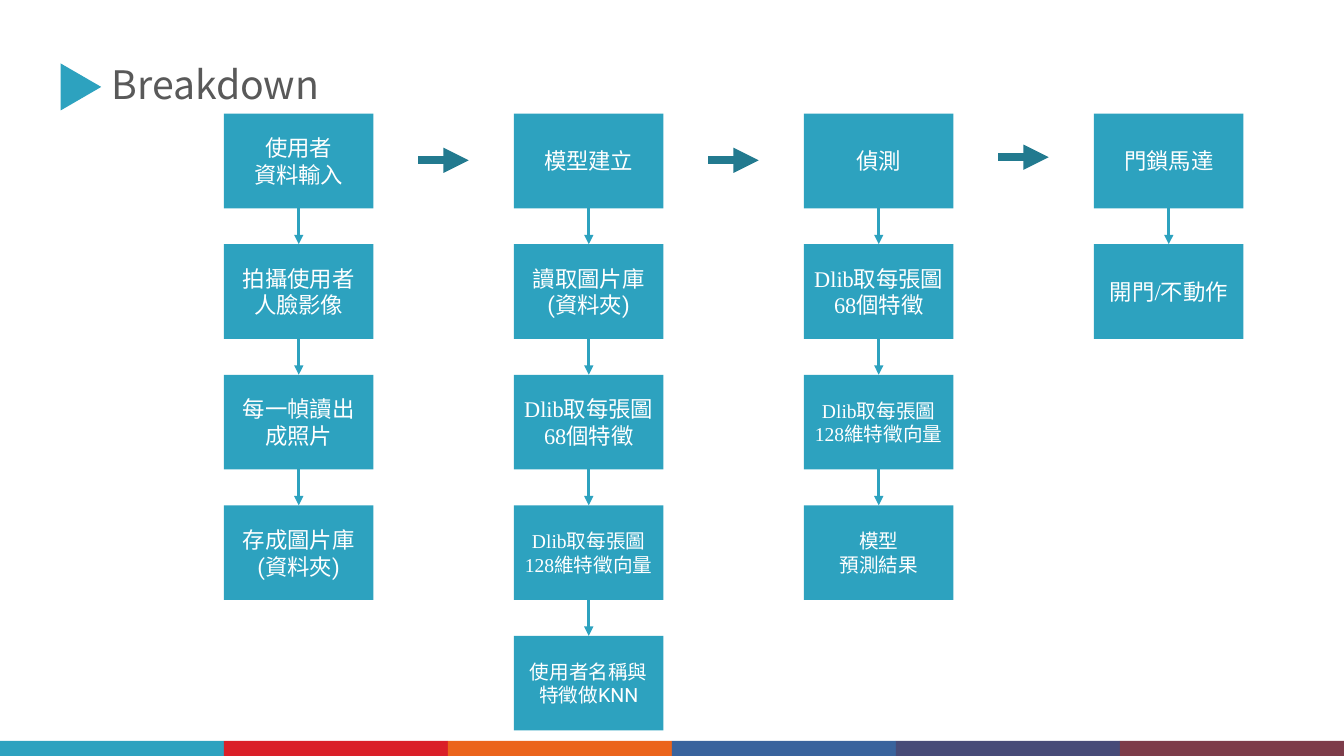
from dataclasses import dataclass

from lxml import etree
from pptx import Presentation
from pptx import util as u
from pptx.dml.color import RGBColor
from pptx.enum import shapes, text
from pptx.oxml import ns

Pt = u.Pt


@dataclass(frozen=True)
class Theme:
    teal: str = "2DA2BF"
    dark_teal: str = "227A8F"
    grey: str = "595959"
    white: str = "FFFFFF"
    strip: tuple[str, ...] = ("2DA2BF", "DA1F28", "EB641B", "39639D", "474B78", "7D3C4A")
    title_font: str = "Noto Sans CJK SC"
    sans: str = "Roboto"
    serif: str = "Times New Roman"
    title_size: float = 28
    step_size: float = 16
    small_size: float = 14
    step_line: float = 2.25
    stage_line: float = 6


THEME = Theme()


@dataclass(frozen=True)
class Step:
    wording: str
    font: str = THEME.sans
    size: float = THEME.step_size


@dataclass(frozen=True)
class Stage:
    steps: tuple[Step, ...]
    exit_y: float = 114.5


# Flow grid, in points
LEFT, TOP = 160, 81.2
COLUMN_PITCH, ROW_PITCH = 207.15, 93.25
BOX_WIDTH, BOX_HEIGHT = 106.8, 67.6
STAGE_ARROW_OFFSET, STAGE_ARROW_LENGTH = 138.8, 36

FEATURES_68 = Step("Dlib取每張圖68個特徵", THEME.serif)
FEATURES_128 = Step("Dlib取每張圖128維特徵向量", THEME.serif, THEME.small_size)
STAGES = (
    Stage((
        Step("使用者\n資料輸入", THEME.serif),
        Step("拍攝使用者人臉影像"),
        Step("每一幀讀出成照片"),
        Step("存成圖片庫\n(資料夾)"),
    )),
    Stage((
        Step("模型建立"),
        Step("讀取圖片庫\n(資料夾)"),
        FEATURES_68,
        FEATURES_128,
        Step("使用者名稱與特徵做KNN", size=THEME.small_size),
    )),
    Stage((
        Step("偵測"),
        FEATURES_68,
        FEATURES_128,
        Step("模型\n預測結果", THEME.serif, THEME.small_size),
    ), exit_y=112.3),
    Stage((
        Step("門鎖馬達"),
        Step("開門/不動作", THEME.serif),
    )),
)

deck = Presentation()
deck.slide_width, deck.slide_height = Pt(960), Pt(540)
slide = deck.slides.add_slide(deck.slide_layouts[6])


def add_filled(kind: shapes.MSO_SHAPE, left: float, top: float,
               width: float, height: float, color: str):
    shape = slide.shapes.add_shape(kind, Pt(left), Pt(top), Pt(width), Pt(height))
    shape.shadow.inherit = False
    shape.fill.solid()
    shape.fill.fore_color.rgb = RGBColor.from_string(color)
    shape.line.fill.background()
    return shape


def style_text(frame, font: str, size: float, color: str, align: text.PP_ALIGN) -> None:
    frame.word_wrap = True
    for paragraph in frame.paragraphs:
        paragraph.alignment = align
        for run in paragraph.runs:
            run.font.name = font
            run.font.size = Pt(size)
            run.font.color.rgb = RGBColor.from_string(color)


def add_step(step: Step, left: float, top: float) -> None:
    box = add_filled(shapes.MSO_SHAPE.RECTANGLE, left, top, BOX_WIDTH, BOX_HEIGHT, THEME.teal)
    box.text_frame.text = step.wording
    box.text_frame.vertical_anchor = text.MSO_ANCHOR.MIDDLE
    style_text(box.text_frame, step.font, step.size, THEME.white, text.PP_ALIGN.CENTER)


def add_arrow(x1: float, y1: float, x2: float, y2: float, color: str, width: float) -> None:
    arrow = slide.shapes.add_connector(
        shapes.MSO_CONNECTOR.STRAIGHT, Pt(x1), Pt(y1), Pt(x2), Pt(y2))
    arrow.line.color.rgb = RGBColor.from_string(color)
    arrow.line.width = Pt(width)
    properties = arrow._element.spPr
    etree.SubElement(properties.find(ns.qn("a:ln")), ns.qn("a:tailEnd"), type="triangle")
    etree.SubElement(properties, ns.qn("a:effectLst"))


# Title and its marker
title = slide.shapes.add_textbox(Pt(72.7), Pt(39.6), Pt(373), Pt(41))
title.text_frame.text = "Breakdown"
style_text(title.text_frame, THEME.title_font, THEME.title_size, THEME.grey, text.PP_ALIGN.LEFT)
marker = add_filled(shapes.MSO_SHAPE.ISOSCELES_TRIANGLE, 41, 47.6, 33.6, 29, THEME.teal)
marker.rotation = 90

# Colour strip along the bottom
strip_width = 960 / len(THEME.strip)
for index, strip_color in enumerate(THEME.strip):
    add_filled(shapes.MSO_SHAPE.RECTANGLE, index * strip_width, 529.2,
               strip_width, 10.8, strip_color)

# Stages across, steps down
for column, stage in enumerate(STAGES):
    stage_left = LEFT + column * COLUMN_PITCH
    center = stage_left + BOX_WIDTH / 2
    for row, stage_step in enumerate(stage.steps):
        step_top = TOP + row * ROW_PITCH
        add_step(stage_step, stage_left, step_top)
        if row:
            add_arrow(center, step_top - ROW_PITCH + BOX_HEIGHT, center, step_top,
                      THEME.teal, THEME.step_line)
    if column < len(STAGES) - 1:
        arrow_left = stage_left + STAGE_ARROW_OFFSET
        add_arrow(arrow_left, stage.exit_y, arrow_left + STAGE_ARROW_LENGTH, stage.exit_y,
                  THEME.dark_teal, THEME.stage_line)

deck.save("out.pptx")
